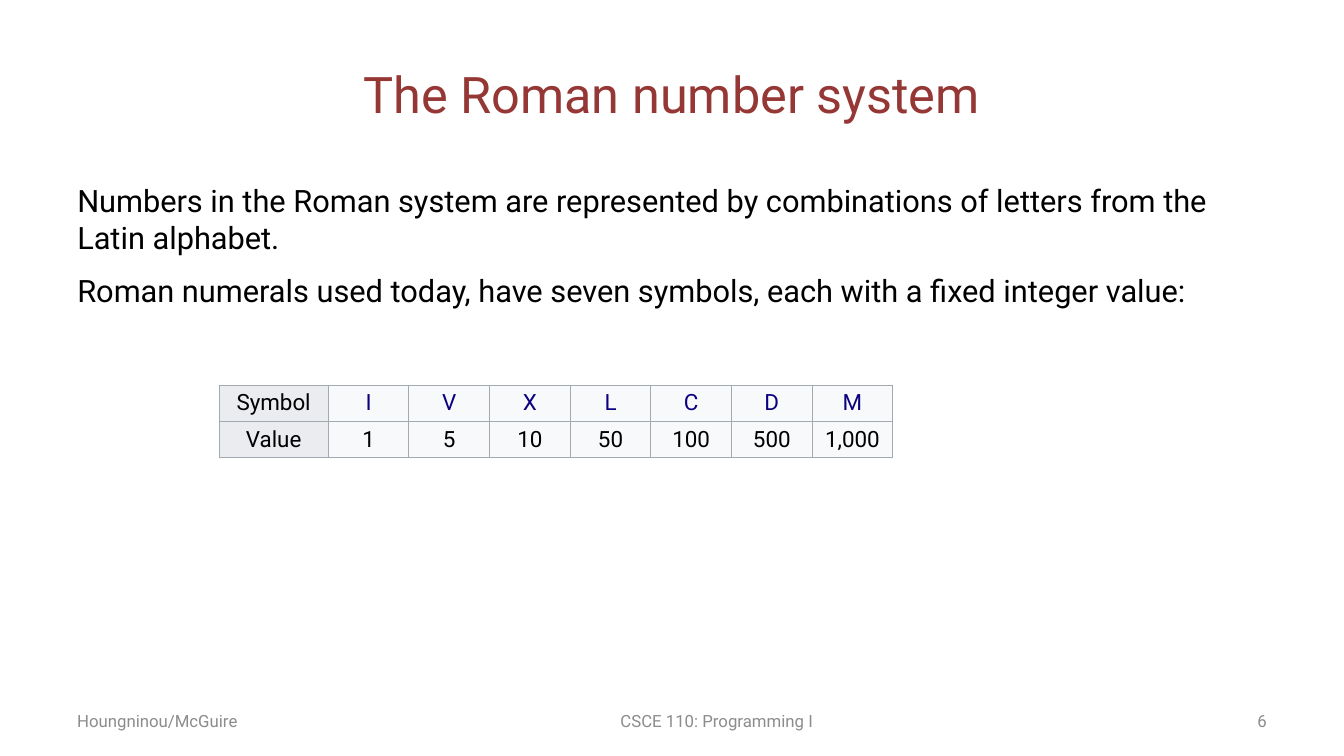
from lxml.etree import SubElement
from pptx import Presentation
from pptx.dml.color import RGBColor
from pptx.enum.text import MSO_ANCHOR, MSO_AUTO_SIZE, PP_ALIGN
from pptx.oxml.ns import qn
from pptx.util import Pt

# Content
TITLE = "The Roman number system"
BODY = [
    "Numbers in the Roman system are represented by combinations of letters from the Latin alphabet.",
    "Roman numerals used today, have seven symbols, each with a fixed integer value:",
]
NUMERALS = [
    ["Symbol", "I", "V", "X", "L", "C", "D", "M"],
    ["Value", "1", "5", "10", "50", "100", "500", "1,000"],
]
# Footer: text, left, width, alignment
FOOTERS = [
    ("Houngninou/McGuire", 48, 224, PP_ALIGN.LEFT),
    ("CSCE 110: Programming I", 328, 368, PP_ALIGN.CENTER),
    ("6", 688, 224, PP_ALIGN.RIGHT),
]

# Style
FONT = "Roboto"
COLORS = {
    "title": "953735", "text": "000000", "symbol": "0B0080", "footer": "8C8C8C",
    "header": "EAECF0", "cell": "F8F9FA", "border": "A2A9B1",
}
LABEL_WIDTH, VALUE_WIDTH, ROW_HEIGHT = 78, 57.6, 26


def place(shape, left, top, width, height):
    box = {"left": left, "top": top, "width": width, "height": height}
    for name, value in box.items():
        setattr(shape, name, Pt(value))


def write(frame, lines, size, color, alignment, space_after=0):
    frame.word_wrap = True
    frame.text = "\n".join(lines)
    paragraph_format = {
        "alignment": alignment, "space_before": Pt(0), "space_after": Pt(space_after),
    }
    font_format = {"name": FONT, "size": Pt(size)}
    for paragraph in frame.paragraphs:
        for name, value in paragraph_format.items():
            setattr(paragraph, name, value)
        for run in paragraph.runs:
            for name, value in font_format.items():
                setattr(run.font, name, value)
            run.font.color.rgb = RGBColor.from_string(COLORS[color])


def add_borders(cell):
    properties = cell._tc.get_or_add_tcPr()
    for position, side in enumerate(("lnL", "lnR", "lnT", "lnB")):
        line = SubElement(properties, qn(f"a:{side}"), w=str(Pt(0.75)))
        fill = SubElement(line, qn("a:solidFill"))
        SubElement(fill, qn("a:srgbClr"), val=COLORS["border"])
        properties.insert(position, line)


presentation = Presentation()
presentation.slide_width, presentation.slide_height = Pt(960), Pt(540)
slide = presentation.slides.add_slide(presentation.slide_layouts[1])

# Title and body
title, body = slide.placeholders
place(title, 48, 21.6, 864, 90)
place(body, 48, 126, 864, 356.4)
write(title.text_frame, [TITLE], 36, "title", PP_ALIGN.CENTER)
write(body.text_frame, BODY, 22, "text", PP_ALIGN.LEFT, space_after=12)
title.text_frame.vertical_anchor = MSO_ANCHOR.MIDDLE
for placeholder in (title, body):
    placeholder.text_frame.auto_size = MSO_AUTO_SIZE.NONE
for paragraph in body.text_frame.paragraphs:
    properties = paragraph._p.get_or_add_pPr()
    properties.set("marL", "0")
    properties.set("indent", "0")
    SubElement(properties, qn("a:buNone"))

# Numeral table
widths = [LABEL_WIDTH] + [VALUE_WIDTH] * (len(NUMERALS[0]) - 1)
table = slide.shapes.add_table(
    len(NUMERALS), len(widths), Pt(156.5), Pt(275),
    Pt(sum(widths)), Pt(ROW_HEIGHT * len(NUMERALS)),
).table
table.first_row = table.horz_banding = False
for column, width in zip(table.columns, widths):
    column.width = Pt(width)
for row_index, values in enumerate(NUMERALS):
    table.rows[row_index].height = Pt(ROW_HEIGHT)
    for column_index, value in enumerate(values):
        cell = table.cell(row_index, column_index)
        is_symbol = row_index == 0 and column_index > 0
        write(cell.text_frame, [value], 16, "symbol" if is_symbol else "text", PP_ALIGN.CENTER)
        cell.vertical_anchor = MSO_ANCHOR.MIDDLE
        cell.fill.solid()
        fill_name = "cell" if column_index else "header"
        cell.fill.fore_color.rgb = RGBColor.from_string(COLORS[fill_name])
        add_borders(cell)

# Footer
for text, left, width, alignment in FOOTERS:
    footer = slide.shapes.add_textbox(Pt(left), Pt(500.5), Pt(width), Pt(28.75))
    write(footer.text_frame, [text], 12, "footer", alignment)
    footer.text_frame.vertical_anchor = MSO_ANCHOR.MIDDLE

presentation.save("out.pptx")
